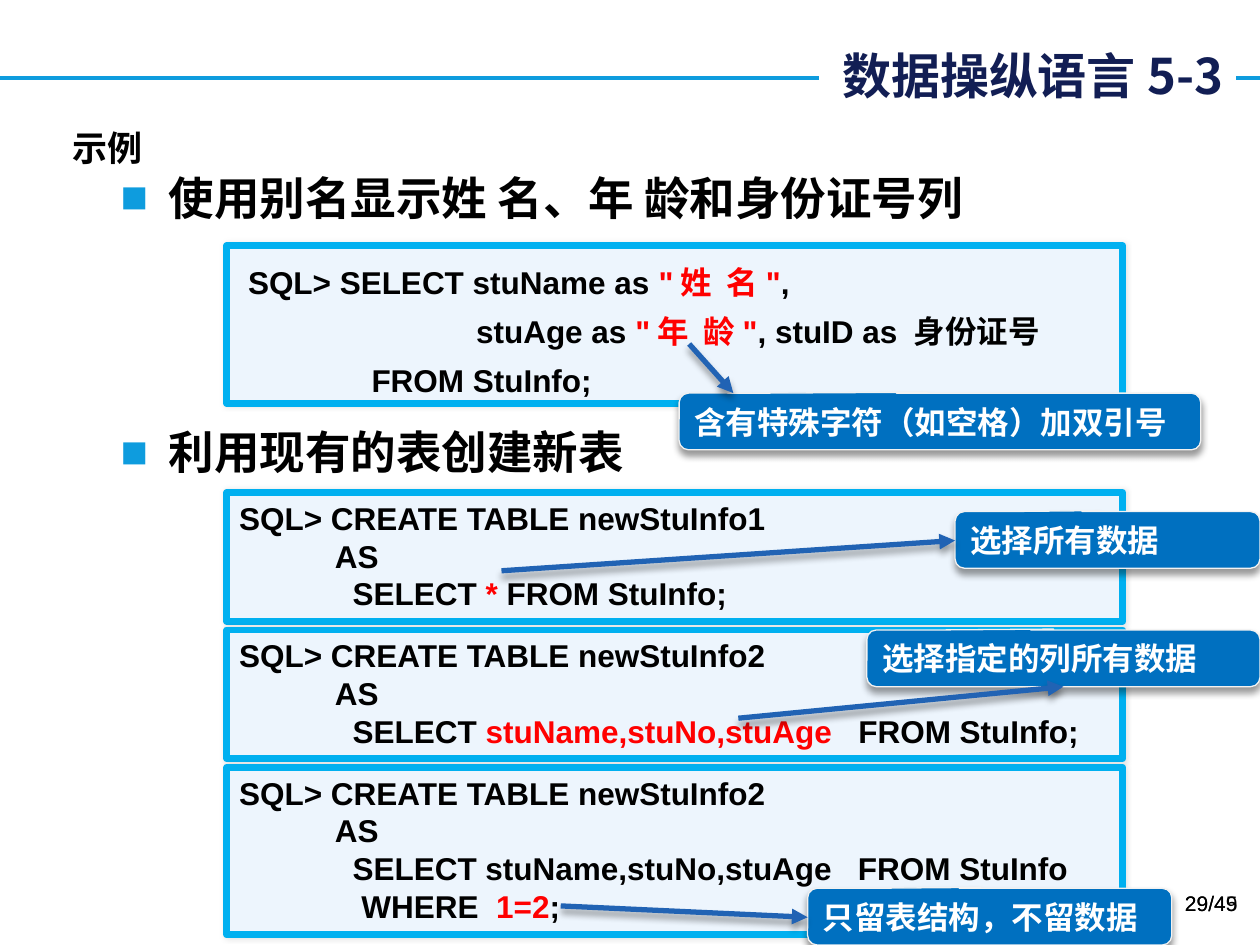
from dataclasses import dataclass

from lxml.etree import SubElement
from pptx import Presentation
from pptx.dml.color import RGBColor
from pptx.enum.shapes import MSO_CONNECTOR, MSO_SHAPE
from pptx.enum.text import MSO_ANCHOR, PP_ALIGN
from pptx.oxml import parse_xml
from pptx.oxml.ns import nsdecls, qn
from pptx.util import Inches, Pt


@dataclass(frozen=True)
class Theme:
    latin: str = "Arial"
    asian: str = "Noto Sans CJK SC"
    navy: str = "121E54"
    rule: str = "0E9CDE"
    black: str = "000000"
    white: str = "FFFFFF"
    red: str = "FF0000"
    panel: str = "EDF5FD"
    edge: str = "00B0F0"
    call: str = "0070C0"
    rim: str = "F2F2F2"
    arrow: str = "2163B4"
    title: int = 28
    head: int = 26
    label: int = 20
    code: int = 18
    page: int = 12


T = Theme()
rgb = RGBColor.from_string


def write(shape, lines, size=T.code, color=T.black, font=T.latin, bold=True,
          align=PP_ALIGN.LEFT, anchor=MSO_ANCHOR.TOP, space=None, wrap=True):
    """Each line is (indent in inches, runs); every second run is red."""
    frame = shape.text_frame
    frame.word_wrap = wrap
    frame.vertical_anchor = anchor
    for i, (indent, runs) in enumerate(lines):
        para = frame.paragraphs[0] if i == 0 else frame.add_paragraph()
        para.alignment = align
        para.line_spacing = space
        props = para._p.get_or_add_pPr()
        props.set("marL", str(Inches(indent)))
        props.set("indent", "0")
        for j, text in enumerate(runs):
            run = para.add_run()
            run.text = text
            run.font.size = Pt(size)
            run.font.bold = bold
            run.font.name = font
            run.font.color.rgb = rgb(T.red if j % 2 else color)
            SubElement(run._r.rPr, qn("a:ea"), typeface=T.asian)


def shade(shape, alpha, blur, dist=0, angle=0):
    """Give a shape or connector a soft black shadow."""
    shape._element.spPr.append(parse_xml(
        f'<a:effectLst {nsdecls("a")}><a:outerShdw blurRad="{Pt(blur)}" '
        f'dist="{Pt(dist)}" dir="{angle * 60000}" algn="ctr" rotWithShape="0">'
        f'<a:srgbClr val="{T.black}"><a:alpha val="{alpha * 1000}"/></a:srgbClr>'
        '</a:outerShdw></a:effectLst>'))


deck = Presentation()
deck.slide_width, deck.slide_height = Inches(10), Inches(7.5)
slide = deck.slides.add_slide(deck.slide_layouts[5])
shapes = slide.shapes

# Title over its rule
rule = shapes.add_connector(MSO_CONNECTOR.STRAIGHT, 0, Inches(0.62),
                            Inches(10), Inches(0.62))
rule.line.color.rgb = rgb(T.rule)
rule.line.width = Pt(2.25)
SubElement(rule._element.spPr, qn("a:effectLst"))
title = shapes.title
title.left, title.top = Inches(6.5), Inches(0.31)
title.width, title.height = Inches(3.31), Inches(0.57)
title.fill.solid()
title.fill.fore_color.rgb = rgb(T.white)
write(title, [(0, ["数据操纵语言5-3"])], size=T.title, color=T.navy,
      font=T.asian, align=PP_ALIGN.RIGHT, anchor=MSO_ANCHOR.MIDDLE)
shapes._spTree.append(title._element)

# Label and bulleted headings
label = shapes.add_textbox(Inches(0.48), Inches(0.95), Inches(0.77), Inches(0.44))
write(label, [(0, ["示例"])], size=T.label, font=T.asian,
      anchor=MSO_ANCHOR.MIDDLE, wrap=False)

for top, text in ((1.3, "使用别名显示姓 名、年 龄和身份证号列"),
                  (3.32, "利用现有的表创建新表")):
    head = shapes.add_textbox(Inches(0.86), Inches(top), Inches(8.36), Inches(0.6))
    write(head, [(0.38, [text])], size=T.head)
    props = head.text_frame.paragraphs[0]._p.pPr
    props.set("indent", str(Inches(-0.38)))
    tint = SubElement(props, qn("a:buClr"))
    SubElement(tint, qn("a:srgbClr"), val=T.rule)
    SubElement(props, qn("a:buFont"), typeface=T.latin)
    SubElement(props, qn("a:buChar"), char="■")

# Code panels: top, height, line spacing, lines
panels = [
    (1.95, 1.25, 1.3, [
        (0.07, ["SQL> SELECT stuName as ", '"姓  名"', ","]),
        (1.88, ["stuAge as ", '"年  龄"', ", stuID as 身份证号"]),
        (1.05, ["FROM StuInfo;"])]),
    (3.91, 1.02, None, [
        (0, ["SQL> CREATE TABLE newStuInfo1"]),
        (0.76, ["AS"]),
        (0.9, ["SELECT ", "*", " FROM StuInfo;"])]),
    (5, 1.02, None, [
        (0, ["SQL> CREATE TABLE newStuInfo2"]),
        (0.76, ["AS"]),
        (0.9, ["SELECT ", "stuName,stuNo,stuAge ", "  FROM StuInfo;"])]),
    (6.09, 1.33, None, [
        (0, ["SQL> CREATE TABLE newStuInfo2"]),
        (0.76, ["AS"]),
        (0.9, ["SELECT stuName,stuNo,stuAge   FROM StuInfo"]),
        (0.97, ["WHERE  ", "1=2", ";"])]),
]
for top, high, space, lines in panels:
    panel = shapes.add_shape(MSO_SHAPE.ROUNDED_RECTANGLE, Inches(1.8),
                             Inches(top), Inches(7.11), Inches(high))
    panel.adjustments[0] = 0
    panel.fill.solid()
    panel.fill.fore_color.rgb = rgb(T.panel)
    panel.line.color.rgb = rgb(T.edge)
    panel.line.width = Pt(4)
    shade(panel, 10, 3)
    write(panel, lines, space=space)

# Callouts with their arrows: left, top, width, text, start, end
calls = [
    (5.39, 3.12, 4.14, "含有特殊字符（如空格）加双引号", (5.47, 2.73), (5.82, 3.12)),
    (7.58, 4.06, 2.42, "选择所有数据", (3.98, 4.53), (7.58, 4.29)),
    (6.88, 5, 3.12, "选择指定的列所有数据", (5.86, 5.7), (8.44, 5.45)),
    (6.41, 7.05, 2.89, "只留表结构，不留数据", (4.45, 7.19), (6.41, 7.28)),
]
for left, top, wide, text, start, end in calls:
    call = shapes.add_shape(MSO_SHAPE.ROUNDED_RECTANGULAR_CALLOUT, Inches(left),
                            Inches(top), Inches(wide), Inches(0.45))
    for i, value in enumerate((-0.025, -0.517, 0.167)):
        call.adjustments[i] = value
    call.fill.solid()
    call.fill.fore_color.rgb = rgb(T.call)
    call.line.color.rgb = rgb(T.rim)
    call.line.width = Pt(0.75)
    shade(call, 40, 4, 3, 90)
    write(call, [(0, [text])], color=T.white, anchor=MSO_ANCHOR.MIDDLE)

    arrow = shapes.add_connector(MSO_CONNECTOR.STRAIGHT,
                                 *(Inches(v) for v in start + end))
    arrow.line.color.rgb = rgb(T.arrow)
    arrow.line.width = Pt(3)
    SubElement(arrow.line._get_or_add_ln(), qn("a:tailEnd"), type="triangle")
    shade(arrow, 40, 4, 3, 90)

# Page numbers, one over the other
for text in ("29/45", "29/49"):
    page = shapes.add_textbox(Inches(7.59), Inches(7.02), Inches(2.33), Inches(0.4))
    write(page, [(0, [text])], size=T.page, bold=False, align=PP_ALIGN.RIGHT)

deck.save("out.pptx")
